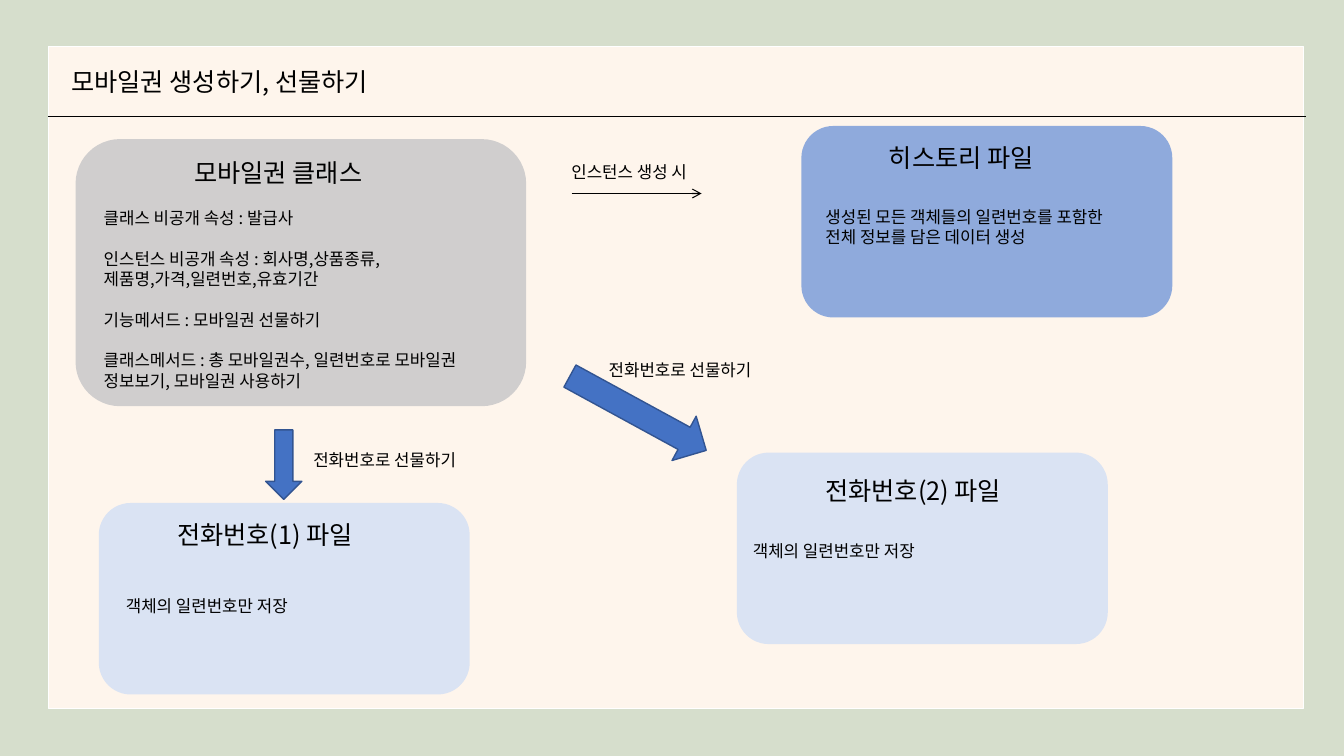
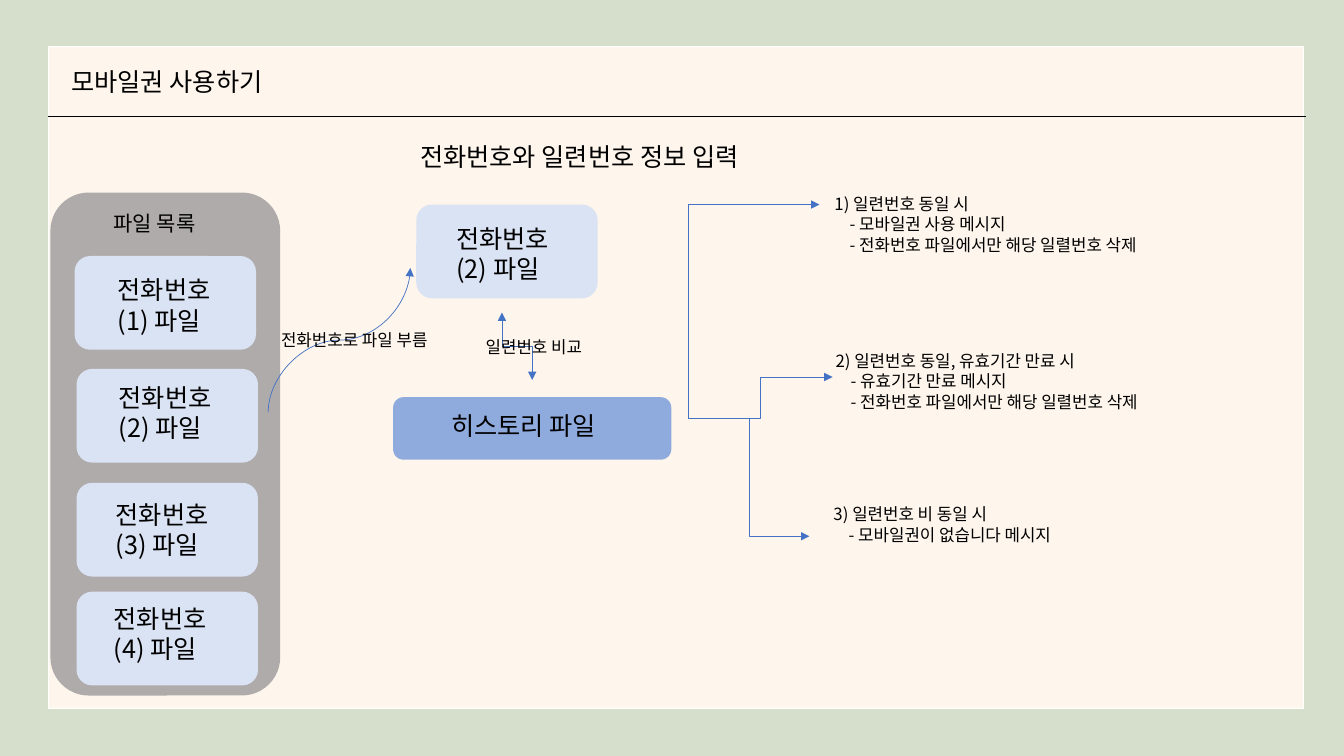
from dataclasses import dataclass

from lxml.etree import SubElement
from pptx import Presentation
from pptx.dml.color import RGBColor
from pptx.enum.shapes import MSO_CONNECTOR, MSO_SHAPE
from pptx.enum.text import PP_ALIGN
from pptx.oxml.ns import qn
from pptx.util import Inches, Pt

COLORS = {
    "frame": "D6DECC", "paper": "FEF5EC", "edge": "FFFFFF", "ink": "000000",
    "class": "D0CECE", "list": "AFABAB", "history": "8FAADC", "phone": "DAE3F3",
    "arrow": "4472C4", "arrow_edge": "325491",
}
FONT = "Noto Sans CJK KR"
HEADING, SUBHEADING, BODY = 18, 15, 12
LINE_RATIO = 1.21
COLUMNS, ROWS = 133.33, 75
CELL = Inches(0.1)


@dataclass
class Box:
    """A rectangle in grid columns and rows."""
    left: float
    top: float
    width: float
    height: float

    def at(self, right, down, width, height):
        """Return a box offset from this one's top left corner."""
        return Box(self.left + right, self.top + down, width, height)

    def emu(self):
        """Return left, top, width and height in slide units."""
        return [cells(n) for n in (self.left, self.top, self.width, self.height)]


def cells(count):
    """Convert a number of grid cells to slide units."""
    return int(count * CELL)


def color(key):
    """Look up a palette colour."""
    return RGBColor.from_string(COLORS[key])


def panel(slide, box, fill, kind=MSO_SHAPE.ROUNDED_RECTANGLE, edge=None, turn=0):
    """Add a filled preset shape."""
    shape = slide.shapes.add_shape(kind, *box.emu())
    shape.shadow.inherit = False
    shape.fill.solid()
    shape.fill.fore_color.rgb = color(fill)
    shape.rotation = turn
    if edge:
        shape.line.color.rgb = color(edge)
        shape.line.width = Pt(1)
    else:
        shape.line.fill.background()


def write(slide, box, lines, size=BODY, gaps=(), indent=0):
    """Add text, with gaps before the numbered lines and later lines indented."""
    frame = slide.shapes.add_textbox(*box.emu()).text_frame
    frame.word_wrap = True
    for index, line in enumerate(lines):
        paragraph = frame.paragraphs[0] if index == 0 else frame.add_paragraph()
        paragraph.text = line
        paragraph.alignment = PP_ALIGN.LEFT
        paragraph.line_spacing = Pt(round(size * LINE_RATIO, 1))
        if index in gaps:
            paragraph.space_before = Pt(round(size * LINE_RATIO, 1))
        paragraph.font.size = Pt(size)
        paragraph.font.name = FONT
        paragraph.font.color.rgb = color("ink")
        properties = paragraph._p.get_or_add_pPr()
        SubElement(properties.find(qn("a:defRPr")), qn("a:ea"), typeface=FONT)
        if index and indent:
            properties.set("marL", str(cells(indent)))


def connect(slide, start, end, kind=MSO_CONNECTOR.STRAIGHT, ink="arrow", width=0.5,
            heads=(), upright=False, preset=None):
    """Join two grid points; an upright connector leaves its start vertically."""
    line = slide.shapes.add_connector(kind, *(cells(n) for n in (*start, *end)))
    line.line.color.rgb = color(ink)
    line.line.width = Pt(width)
    properties = line.element.spPr
    if upright:
        across, down = line.width, line.height
        line.left += (across - down) // 2
        line.top += (down - across) // 2
        line.width, line.height = down, across
        rising = end[1] < start[1]
        transform = properties.find(qn("a:xfrm"))
        transform.set("rot", str((90 if rising else 270) * 60000))
        transform.set("flipH", "1")
    if preset:
        properties.find(qn("a:prstGeom")).set("prst", preset)
    for tag, style in heads:
        SubElement(properties.find(qn("a:ln")), qn(tag), type=style)
    SubElement(properties, qn("a:effectLst"))


def base(deck, title):
    """Add a slide with the shared frame, paper, rule and title."""
    slide = deck.slides.add_slide(deck.slide_layouts[6])
    paper = Box(4.8, 4.6, 124.5, 65.7)
    panel(slide, Box(0, 0, COLUMNS, ROWS), "frame", MSO_SHAPE.RECTANGLE)
    panel(slide, paper, "paper", MSO_SHAPE.RECTANGLE, "edge")
    connect(slide, (paper.left, 11.6), (129.6, 11.6), ink="ink", width=0.75)
    write(slide, paper.at(1.3, 1.5, 50.6, 4), [title], HEADING)
    return slide


def card(slide, box, fill, title, title_at, body, body_at, gaps=()):
    """Add a rounded card with a title and body at offsets inside it."""
    panel(slide, box, fill)
    write(slide, box.at(*title_at, 30, 4), [title], HEADING)
    write(slide, box.at(*body_at, 37.5, box.height - body_at[1]), body, gaps=gaps)


def phone_file(slide, box, number, label_at):
    """Add the chip of one phone number file."""
    panel(slide, box, "phone")
    write(slide, box.at(*label_at, 12.3, 7.1), [f"전화번호({number}) 파일"], HEADING)


def file_list(slide, box):
    """Add the panel that lists the phone number files."""
    panel(slide, box, "list")
    write(slide, box.at(5.3, 1.3, 15, 3.5), ["파일 목록"], SUBHEADING)
    chips = [
        (2.4, 6.3, (3.3, 1.3)), (2.6, 17.5, (3.2, 0.8)),
        (2.6, 28.8, (2.9, 1.1)), (2.6, 39.6, (2.7, 0.6)),
    ]
    for number, (right, down, label_at) in enumerate(chips, 1):
        phone_file(slide, box.at(right, down, 18, 9.3), number, label_at)


def comparison(slide, box):
    """Add the chosen file, the history file and the comparison between them."""
    phone_file(slide, box.at(2.3, 0, 18, 9.3), 2, (3, 1.3))
    panel(slide, box.at(0, 19.1, box.width, 6.2), "history")
    write(slide, box.at(4.8, 19.9, 18.8, 4), ["히스토리 파일"], HEADING)
    connect(slide, (box.left + 10.8, box.top + 10.7), (box.left + 13.8, box.top + 17.4),
            MSO_CONNECTOR.ELBOW, upright=True,
            heads=[("a:headEnd", "triangle"), ("a:tailEnd", "triangle")])
    write(slide, box.at(8.2, 12.6, 19, 3), ["일련번호 비교"])


def outcomes(slide, box):
    """Add the three results, each reached from the left edge of the box."""
    start = (box.left, box.top + 22.8)
    arrow = [("a:tailEnd", "triangle")]
    delete = "- 전화번호 파일에서만 해당 일렬번호 삭제"
    results = [
        ((13, 1.6), (13.5, 0), True, "bentConnector2",
         ["1) 일련번호 동일 시", "- 모바일권 사용 메시지", delete]),
        ((14.3, 18.7), (13.6, 15.6), False, None,
         ["2) 일련번호 동일, 유효기간 만료 시", "- 유효기간 만료 메시지", delete]),
        ((12, 34.5), (13.4, 30.8), False, None,
         ["3) 일련번호 비 동일 시", "- 모바일권이 없습니다 메시지"]),
    ]
    for tip, text_at, upright, preset, lines in results:
        connect(slide, start, (box.left + tip[0], box.top + tip[1]),
                MSO_CONNECTOR.ELBOW, heads=arrow, upright=upright, preset=preset)
        write(slide, box.at(*text_at, 40.1, 7.1), lines, indent=1.5)


def creation_slide(deck):
    """Build the slide on creating and giving mobile vouchers."""
    slide = base(deck, "모바일권 생성하기, 선물하기")
    card(slide, Box(7.5, 13.8, 44.7, 26.5), "class", "모바일권 클래스", (10.8, 1.3), [
        "클래스 비공개 속성 : 발급사",
        "인스턴스 비공개 속성 : 회사명,상품종류,",
        "제품명,가격,일련번호,유효기간",
        "기능메서드 : 모바일권 선물하기",
        "클래스메서드 : 총 모바일권수, 일련번호로 모바일권 정보보기, 모바일권 사용하기",
    ], (1.8, 6.3), gaps=(1, 3, 4))
    card(slide, Box(79.5, 12.5, 36.8, 19), "history", "히스토리 파일", (7.7, 1.1),
         ["생성된 모든 객체들의 일련번호를 포함한", "전체 정보를 담은 데이터 생성"], (1.4, 7.5))
    stored = ["객체의 일련번호만 저장"]
    card(slide, Box(73.1, 44.9, 36.8, 19), "phone", "전화번호(2) 파일", (7.8, 1.7),
         stored, (0.6, 8.2))
    card(slide, Box(9.8, 49.9, 36.8, 19), "phone", "전화번호(1) 파일", (6.8, 1.1),
         stored, (1.7, 8.7))
    connect(slide, (56.7, 19.2), (69.6, 19.2), ink="ink", width=0.75,
            heads=[("a:tailEnd", "arrow")])
    write(slide, Box(55.7, 15.5, 20, 3), ["인스턴스 생성 시"])
    gifts = [
        (Box(55.6, 38.5, 15.4, 5), 28.6, Box(59.4, 35.2, 19, 3)),
        (Box(24.7, 44.3, 6.9, 3.6), 90, Box(30.1, 44.1, 19, 3)),
    ]
    for arrow, turn, label in gifts:
        panel(slide, arrow, "arrow", MSO_SHAPE.RIGHT_ARROW, "arrow_edge", turn)
        write(slide, label, ["전화번호로 선물하기"])


def use_slide(deck):
    """Build the slide on using mobile vouchers."""
    slide = base(deck, "모바일권 사용하기")
    write(slide, Box(40.7, 13.5, 50.6, 4), ["전화번호와 일련번호 정보 입력"], HEADING)
    file_list(slide, Box(5, 19.1, 22.8, 49.9))
    comparison(slide, Box(39, 20.3, 27.6, 25.3))
    connect(slide, (26.6, 40.9), (40.7, 26.6), MSO_CONNECTOR.CURVE, upright=True,
            heads=[("a:tailEnd", "triangle")])
    write(slide, Box(26.9, 32.2, 19, 3), ["전화번호로 파일 부름"])
    outcomes(slide, Box(68.3, 18.7, 55, 38))


deck = Presentation()
deck.slide_width, deck.slide_height = cells(COLUMNS), cells(ROWS)
creation_slide(deck)
use_slide(deck)
deck.save("out.pptx")
